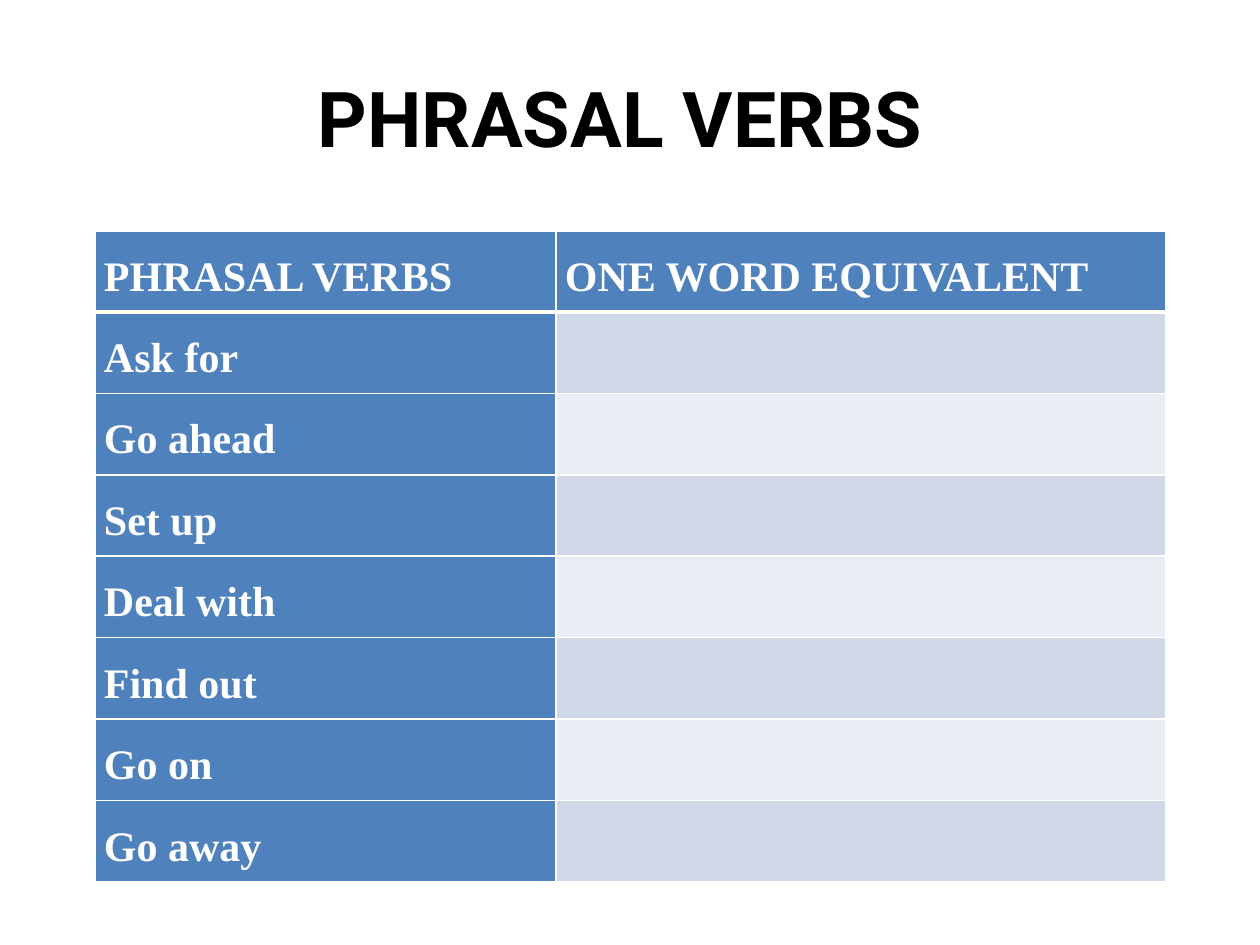
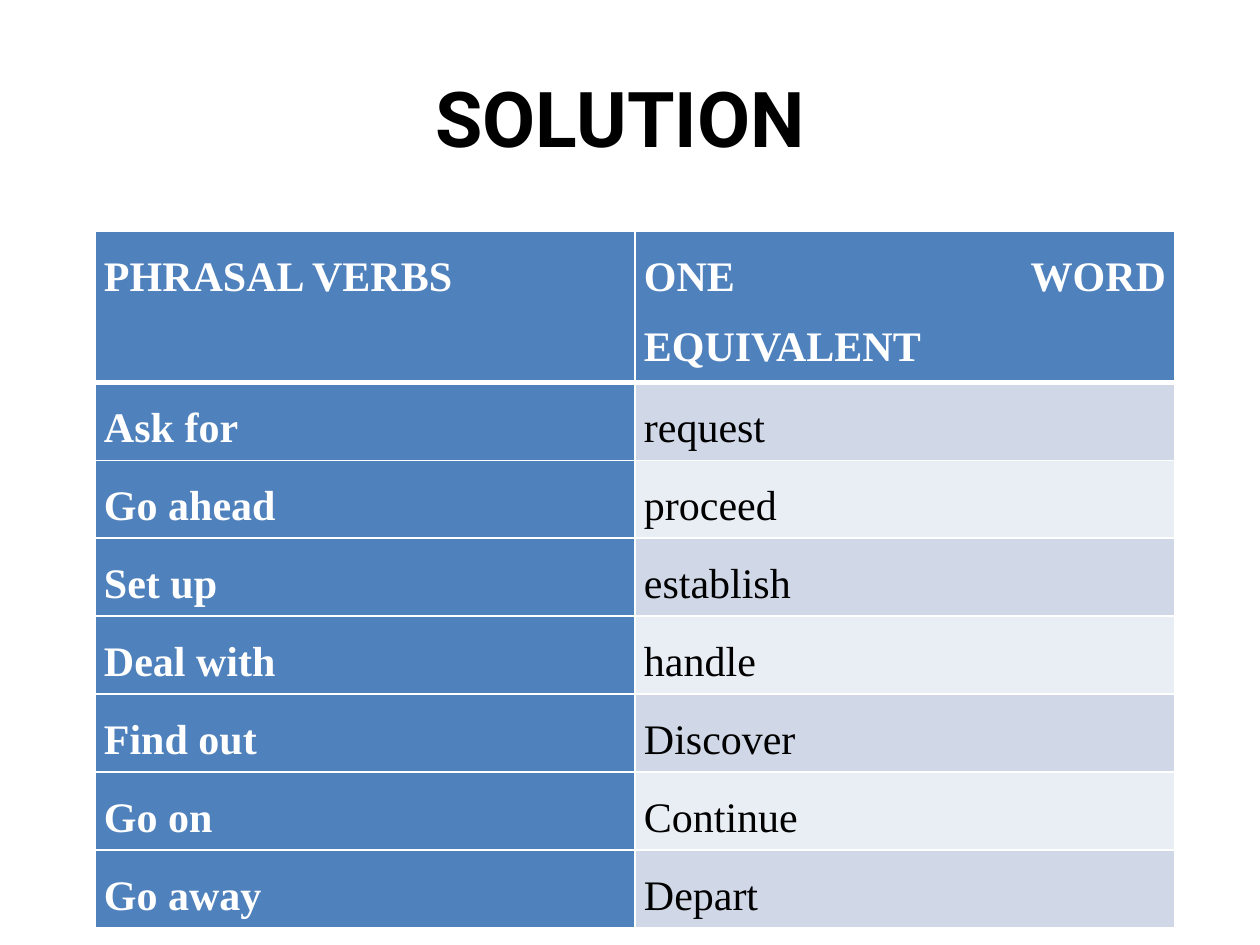
"""Phrasal verbs: an exercise table and its solution."""
from dataclasses import dataclass

import pptx
import pptx.dml.color
import pptx.enum.text
import pptx.oxml
import pptx.oxml.ns
import pptx.presentation
import pptx.slide
import pptx.table
import pptx.util

# Shared look
EMU_PER_PX = 914400 / 126
SLIDE_WIDTH, SLIDE_HEIGHT = 1260, 945
TITLE_BOX = (63, 38, 1134, 157)
TABLE_LEFT, TABLE_TOP, CELL_MARGIN = 95, 231, 9
TITLE_FONT, TABLE_FONT = "Roboto", "Times New Roman"
BLACK, WHITE, BLUE = "000000", "FFFFFF", "4F81BD"
BANDS = ("D0D8E8", "E9EDF4")
THIN, THICK = 1, 3

# Content
HEADER = ("PHRASAL VERBS", "ONE WORD EQUIVALENT")
VERBS = ("Ask for ", "Go ahead", "Set up", "Deal with", "Find out", "Go on ", "Go away")
ANSWERS = ("request", "proceed", "establish", "handle", "Discover ", "Continue", "Depart")


@dataclass(frozen=True)
class VerbSlide:
    title: str
    column_widths: tuple[int, int]
    header_height: int
    body_height: int
    answers: tuple[str, ...]


VERB_SLIDES = (
    VerbSlide("PHRASAL VERBS ", (461, 610), 81, 570, ("",) * len(VERBS)),
    VerbSlide("SOLUTION ", (540, 540), 138, 546, ANSWERS),
)


def px(length: float) -> pptx.util.Emu:
    return pptx.util.Emu(round(length * EMU_PER_PX))


def color(value: str) -> pptx.dml.color.RGBColor:
    return pptx.dml.color.RGBColor.from_string(value)


def set_font(paragraph, name: str, size: int, ink: str, bold: bool) -> None:
    font = paragraph.font
    font.name, font.size, font.bold = name, pptx.util.Pt(size), bold
    font.color.rgb = color(ink)


def add_title(slide: pptx.slide.Slide, text: str) -> None:
    frame = slide.shapes.add_textbox(*map(px, TITLE_BOX)).text_frame
    frame.word_wrap = True
    frame.vertical_anchor = pptx.enum.text.MSO_ANCHOR.MIDDLE
    paragraph = frame.paragraphs[0]
    paragraph.text = text
    paragraph.alignment = pptx.enum.text.PP_ALIGN.CENTER
    set_font(paragraph, TITLE_FONT, 44, BLACK, True)


def set_borders(cell, top: int, bottom: int) -> None:
    properties = cell._tc.get_or_add_tcPr()
    widths = {"lnL": THIN, "lnR": THIN, "lnT": top, "lnB": bottom}
    for index, (tag, width) in enumerate(widths.items()):
        properties.insert(index, pptx.oxml.parse_xml(
            f'<a:{tag} {pptx.oxml.ns.nsdecls("a")} w="{pptx.util.Pt(width)}">'
            f'<a:solidFill><a:srgbClr val="{WHITE}"/></a:solidFill></a:{tag}>'))


def style_cell(cell, text: str, row: int, column: int) -> None:
    is_heading = row == 0 or column == 0
    cell.fill.solid()
    cell.fill.fore_color.rgb = color(BLUE if is_heading else BANDS[(row - 1) % 2])
    set_borders(cell, THICK if row == 1 else THIN, THICK if row == 0 else THIN)
    cell.margin_left = cell.margin_right = px(CELL_MARGIN)
    cell.margin_top = cell.margin_bottom = 0
    if text:
        paragraph = cell.text_frame.paragraphs[0]
        paragraph.text = text
        paragraph.alignment = pptx.enum.text.PP_ALIGN.JUSTIFY
        paragraph.line_spacing = 1.5
        set_font(paragraph, TABLE_FONT, 24, WHITE if is_heading else BLACK, is_heading)


def add_verb_table(slide: pptx.slide.Slide, content: VerbSlide) -> None:
    rows = (HEADER, *zip(VERBS, content.answers))
    table: pptx.table.Table = slide.shapes.add_table(
        len(rows), len(HEADER), px(TABLE_LEFT), px(TABLE_TOP),
        px(sum(content.column_widths)), px(content.header_height + content.body_height)).table
    table.first_col = True
    for column, width in zip(table.columns, content.column_widths):
        column.width = px(width)
    for row_index, texts in enumerate(rows):
        height = content.body_height / len(VERBS) if row_index else content.header_height
        table.rows[row_index].height = px(height)
        for column_index, text in enumerate(texts):
            style_cell(table.cell(row_index, column_index), text, row_index, column_index)


def main() -> None:
    presentation: pptx.presentation.Presentation = pptx.Presentation()
    presentation.slide_width, presentation.slide_height = px(SLIDE_WIDTH), px(SLIDE_HEIGHT)
    blank_layout = presentation.slide_layouts[6]
    for content in VERB_SLIDES:
        slide = presentation.slides.add_slide(blank_layout)
        add_title(slide, content.title)
        add_verb_table(slide, content)
    presentation.save("out.pptx")


if __name__ == "__main__":
    main()
